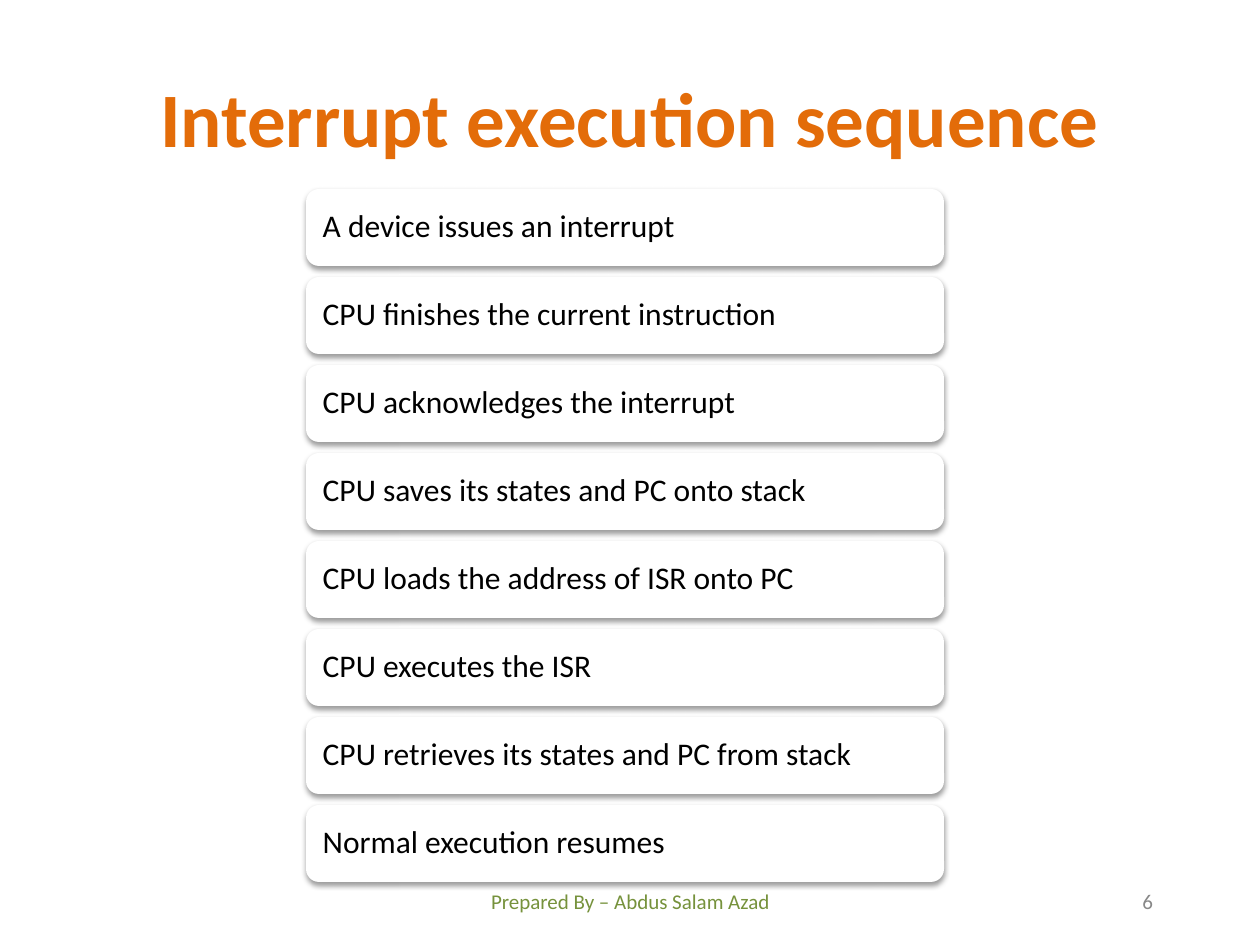
from lxml import etree
from pptx import Presentation
from pptx.dml.color import RGBColor
from pptx.enum.shapes import MSO_SHAPE
from pptx.enum.text import MSO_ANCHOR, PP_ALIGN
from pptx.oxml.ns import qn
from pptx.util import Emu, Pt

ROUNDED = MSO_SHAPE.ROUNDED_RECTANGLE
MIDDLE = MSO_ANCHOR.MIDDLE
LEFT, CENTER, RIGHT = PP_ALIGN.LEFT, PP_ALIGN.CENTER, PP_ALIGN.RIGHT
EMU_PER_PIXEL = 914400 / 126
TITLE_ONLY = 5


def px(value):
    return Emu(round(value * EMU_PER_PIXEL))


def color(value):
    return RGBColor.from_string(value)


class SequenceSlide:
    font_name = "Calibri"
    insets = {"margin_left": 13, "margin_right": 13, "margin_top": 6, "margin_bottom": 6}

    def __init__(self, deck):
        self.slide = deck.slides.add_slide(deck.slide_layouts[TITLE_ONLY])

    def set_text(self, holder, text, size, ink, align, bold=False, spacing=1.0):
        frame = holder.text_frame
        frame.text = text
        frame.word_wrap = True
        frame.vertical_anchor = MIDDLE
        for name, value in self.insets.items():
            setattr(frame, name, px(value))
        paragraph = frame.paragraphs[0]
        paragraph.alignment = align
        paragraph.line_spacing = spacing
        font = paragraph.runs[0].font
        for name, value in {"name": self.font_name, "size": Pt(size), "bold": bold}.items():
            setattr(font, name, value)
        font.color.rgb = color(ink)

    def title(self, box, text):
        heading = self.slide.shapes.title
        for name, value in zip(("left", "top", "width", "height"), box):
            setattr(heading, name, px(value))
        self.set_text(heading, text, 44, "E36C09", CENTER, bold=True)

    def step(self, box, text):
        card = self.slide.shapes.add_shape(ROUNDED, *map(px, box))
        card.adjustments[0] = 0.167
        card.fill.solid()
        card.fill.fore_color.rgb = color("FFFFFF")
        card.line.fill.background()
        self.soft_shadow(card)
        self.set_text(card, text, 18, "000000", LEFT, spacing=0.85)

    def soft_shadow(self, card):
        card.shadow.inherit = False
        effects = card._element.spPr.find(qn("a:effectLst"))
        shadow = etree.SubElement(
            effects, qn("a:outerShdw"), blurRad=str(int(Pt(3.1))), dist=str(int(Pt(1.6))),
            dir="5400000", rotWithShape="0")
        tint = etree.SubElement(shadow, qn("a:srgbClr"), val="000000")
        etree.SubElement(tint, qn("a:alpha"), val="38000")

    def footer(self, box, text, ink, align):
        note = self.slide.shapes.add_textbox(*map(px, box))
        self.set_text(note, text, 12, ink, align)


STEPS = (
    "A device issues an interrupt",
    "CPU finishes the current instruction",
    "CPU acknowledges the interrupt",
    "CPU saves its states and PC onto stack",
    "CPU loads the address of ISR onto PC",
    "CPU executes the ISR",
    "CPU retrieves its states and PC from stack",
    "Normal execution resumes",
)
STEP_TOP, STEP_PITCH = 189, 88

deck = Presentation()
deck.slide_width, deck.slide_height = px(1260), px(945)
sequence = SequenceSlide(deck)
sequence.title((63, 38, 1134, 158), "Interrupt execution sequence")
for index, step in enumerate(STEPS):
    sequence.step((306, STEP_TOP + index * STEP_PITCH, 638, 77), step)
sequence.footer((431, 876, 399, 50), "Prepared By – Abdus Salam Azad", "76923C", CENTER)
sequence.footer((872, 876, 294, 50), "6", "888888", RIGHT)
deck.save("out.pptx")
